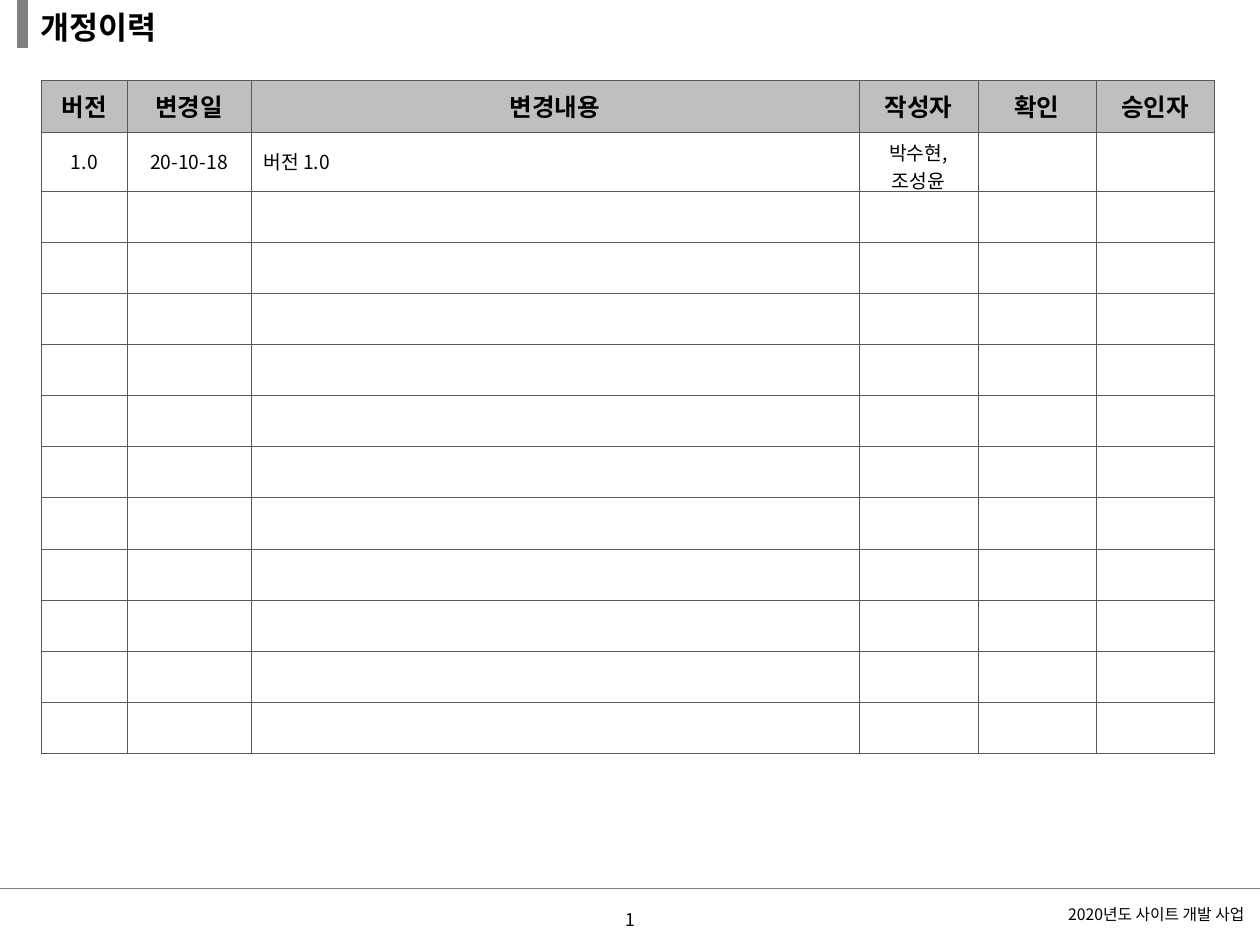
from dataclasses import dataclass

from lxml import etree
from pptx import Presentation
from pptx.dml.color import RGBColor
from pptx.enum import shapes, text
from pptx.oxml import ns
from pptx.util import Inches, Pt


@dataclass(frozen=True)
class Theme:
    font: str = "Noto Sans CJK KR"
    ink: str = "000000"
    rule: str = "808080"
    grid: str = "595959"
    head: str = "BFBFBF"
    title: int = 18
    label: int = 14
    body: int = 11
    page: int = 10
    foot: int = 9


THEME = Theme()
LEFT, MID, RIGHT = text.PP_ALIGN.LEFT, text.PP_ALIGN.CENTER, text.PP_ALIGN.RIGHT

HEADS = ["버전", "변경일", "변경내용", "작성자", "확인", "승인자"]
FIRST = ["1.0", "20-10-18", "버전 1.0", "박수현,\n조성윤", "", ""]
WIDTHS = [0.68, 0.98, 4.83, 0.94, 0.94, 0.94]
BLANKS = 11


def write(frame, words, size=THEME.body, bold=False, align=LEFT):
    """Fill a text frame, one paragraph for each line of words."""
    for i, line in enumerate(words.split("\n")):
        para = frame.add_paragraph() if i else frame.paragraphs[0]
        para.alignment = align
        if not line:
            # An empty cell keeps the type size, so its row stays low
            etree.SubElement(para._p, ns.qn("a:endParaRPr"), sz=str(size * 100))
            continue
        run = para.add_run()
        run.text = line
        font = run.font
        font.name, font.size, font.bold = THEME.font, Pt(size), bold
        font.color.rgb = RGBColor.from_string(THEME.ink)
        etree.SubElement(run._r.get_or_add_rPr(), ns.qn("a:ea"),
                         typeface=THEME.font)


def label(slide, box, words, **form):
    frame = slide.shapes.add_textbox(*map(Inches, box)).text_frame
    frame.word_wrap = True
    frame.vertical_anchor = text.MSO_ANCHOR.MIDDLE
    write(frame, words, **form)


def rule(slide, ends, width):
    line = slide.shapes.add_connector(shapes.MSO_CONNECTOR.STRAIGHT,
                                      *map(Inches, ends))
    line.line.color.rgb = RGBColor.from_string(THEME.rule)
    line.line.width = Pt(width)
    etree.SubElement(line._element.spPr, ns.qn("a:effectLst"))


def border(cell):
    """Draw the four sides; they must come before the cell's fill."""
    props = cell._tc.get_or_add_tcPr()
    for i, side in enumerate(("lnL", "lnR", "lnT", "lnB")):
        line = etree.Element(ns.qn("a:" + side), w=str(Pt(0.25)))
        fill = etree.SubElement(line, ns.qn("a:solidFill"))
        etree.SubElement(fill, ns.qn("a:srgbClr"), val=THEME.grid)
        props.insert(i, line)


def header(slide, box):
    """Page title with an upright bar on its left."""
    x, y, _, _ = box
    rule(slide, (x - 0.04, y - 0.02, x - 0.04, y + 0.38), 6)
    label(slide, box, "개정이력", size=THEME.title, bold=True)


def history(slide, box):
    """Revision table: heads, first version, then blank rows."""
    rows = [HEADS, FIRST] + [[""] * len(HEADS)] * BLANKS
    grid = slide.shapes.add_table(len(rows), len(HEADS),
                                  *map(Inches, box)).table
    for col, width in zip(grid.columns, WIDTHS):
        col.width = Inches(width)
    for r, row in enumerate(rows):
        grid.rows[r].height = Inches(box[3] / len(rows))
        top = r == 0
        for c, words in enumerate(row):
            cell = grid.cell(r, c)
            cell.vertical_anchor = text.MSO_ANCHOR.MIDDLE
            if top:
                cell.fill.solid()
                cell.fill.fore_color.rgb = RGBColor.from_string(THEME.head)
            else:
                cell.fill.background()
            border(cell)
            write(cell.text_frame, words, bold=top,
                  size=THEME.label if top else THEME.body,
                  align=LEFT if c == 2 and not top else MID)


def footer(slide, box):
    """Rule, project name and page number."""
    x, y, w, h = box
    rule(slide, (x, y, x + w, y), 0.75)
    label(slide, (x, y + 0.01, w, h), "2020년도 사이트 개발 사업 ",
          size=THEME.foot, align=RIGHT)
    label(slide, (x, y + 0.05, w, h), "1", size=THEME.page, align=MID)


def main():
    deck = Presentation()
    deck.slide_width, deck.slide_height = Inches(10), Inches(7.5)
    slide = deck.slides.add_slide(deck.slide_layouts[6])
    footer(slide, (0, 7.05, 10, 0.4))
    history(slide, (0.33, 0.64, 9.3, 5.28))
    header(slide, (0.22, 0, 2.97, 0.42))
    deck.save("out.pptx")


if __name__ == "__main__":
    main()
